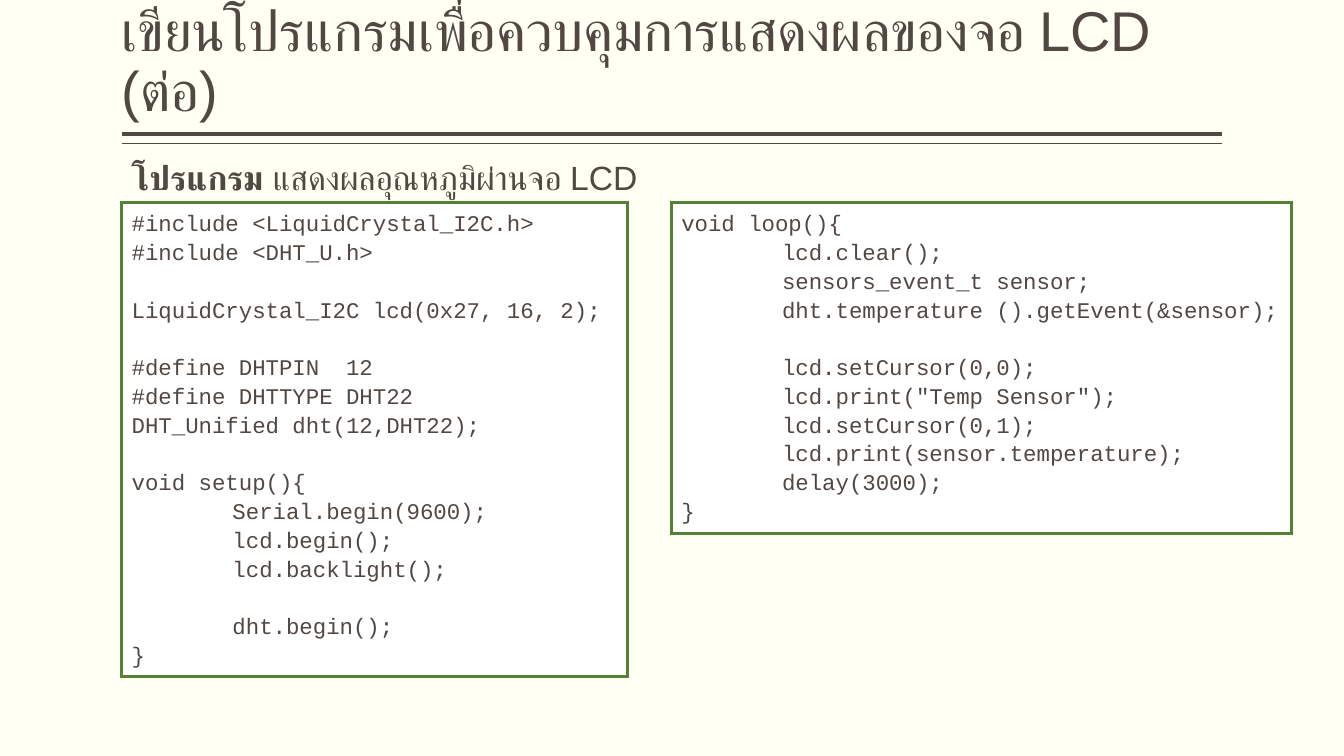
"""Build the slide showing the temperature display program for an LCD."""
import pptx
import pptx.dml.color
import pptx.enum.shapes
import pptx.enum.text
import pptx.oxml
import pptx.util
from pptx.util import Cm

THEME = {
    "background": pptx.dml.color.RGBColor.from_string("FFFFF3"),
    "ink": pptx.dml.color.RGBColor.from_string("514843"),
    "paper": pptx.dml.color.RGBColor.from_string("FFFFFF"),
    "border": pptx.dml.color.RGBColor.from_string("548235"),
    "title": {"name": "Arial", "size": pptx.util.Pt(40)},
    "subtitle": {"name": "Arial", "size": pptx.util.Pt(24)},
    "code": {"name": "Courier New", "size": pptx.util.Pt(16)},
    "empty_line": pptx.util.Pt(20.6),
}

DRAWING = 'xmlns:a="http://schemas.openxmlformats.org/drawingml/2006/main"'
LEFT, WIDTH, INDENT = Cm(3.07), Cm(27.73), Cm(2.54)

SETUP_CODE = """#include <LiquidCrystal_I2C.h>
#include <DHT_U.h>

LiquidCrystal_I2C lcd(0x27, 16, 2);

#define DHTPIN  12
#define DHTTYPE DHT22
DHT_Unified dht(12,DHT22);

void setup(){
\tSerial.begin(9600);
\tlcd.begin();
\tlcd.backlight();

\tdht.begin();
}"""

LOOP_CODE = """void loop(){
\tlcd.clear();
\tsensors_event_t sensor;
\tdht.temperature ().getEvent(&sensor);

\tlcd.setCursor(0,0);
\tlcd.print("Temp Sensor");
\tlcd.setCursor(0,1);
\tlcd.print(sensor.temperature);
\tdelay(3000);
}"""


def write(paragraph, text, style, bold=False):
    """Add one run in a theme style."""
    run = paragraph.add_run()
    run.text = text
    for attribute, value in {**THEME[style], "bold": bold}.items():
        setattr(run.font, attribute, value)
    run.font.color.rgb = THEME["ink"]


deck = pptx.Presentation()
deck.slide_width, deck.slide_height = Cm(33.87), Cm(19.05)
slide = deck.slides.add_slide(deck.slide_layouts[6])
slide.background.fill.solid()
slide.background.fill.fore_color.rgb = THEME["background"]

for height, weight in ((Cm(3.38), 3), (Cm(3.62), 1)):
    rule = slide.shapes.add_connector(
        pptx.enum.shapes.MSO_CONNECTOR.STRAIGHT, LEFT, height, LEFT + WIDTH, height)
    rule.line.color.rgb = THEME["ink"]
    rule.line.width = pptx.util.Pt(weight)
    rule._element.spPr.append(pptx.oxml.parse_xml(f"<a:effectLst {DRAWING}/>"))

heading = slide.shapes.add_textbox(LEFT, Cm(0.2), WIDTH, Cm(3.05)).text_frame
for attribute, value in {
    "word_wrap": True,
    "vertical_anchor": pptx.enum.text.MSO_ANCHOR.BOTTOM,
    "margin_left": 0,
    "margin_right": 0,
}.items():
    setattr(heading, attribute, value)
heading.paragraphs[0].line_spacing = 0.9
write(heading.paragraphs[0], "เขียนโปรแกรมเพื่อควบคุมการแสดงผลของจอ LCD (ต่อ)", "title")

subheading = slide.shapes.add_textbox(LEFT, Cm(3.84), WIDTH, Cm(1.27)).text_frame
subheading.word_wrap = True
write(subheading.paragraphs[0], "โปรแกรม ", "subtitle", bold=True)
write(subheading.paragraphs[0], "แสดงผลอุณหภูมิผ่านจอ LCD", "subtitle")

for code, left, width, height in (
    (SETUP_CODE, LEFT, Cm(12.75), Cm(11.94)),
    (LOOP_CODE, Cm(16.92), Cm(15.62), Cm(8.33)),
):
    panel = slide.shapes.add_shape(
        pptx.enum.shapes.MSO_SHAPE.RECTANGLE, left, Cm(5.11), width, height)
    panel.shadow.inherit = False
    panel.fill.solid()
    panel.fill.fore_color.rgb = THEME["paper"]
    panel.line.color.rgb = THEME["border"]
    panel.line.width = pptx.util.Pt(2.25)
    panel.line._get_or_add_ln().append(
        pptx.oxml.parse_xml(f'<a:miter {DRAWING} lim="800000"/>'))
    listing = panel.text_frame
    listing.word_wrap = False
    listing.vertical_anchor = pptx.enum.text.MSO_ANCHOR.TOP
    statement = listing.paragraphs[0]
    for block_number, block in enumerate(code.split("\n\n")):
        for line_number, line in enumerate(block.split("\n")):
            if block_number or line_number:
                statement = listing.add_paragraph()
            opens_block = block_number and not line_number
            for attribute, value in {
                "alignment": pptx.enum.text.PP_ALIGN.LEFT,
                "line_spacing": 1.07,
                "space_before": THEME["empty_line"] if opens_block else 0,
            }.items():
                setattr(statement, attribute, value)
            statement._p.get_or_add_pPr().append(pptx.oxml.parse_xml(
                f'<a:tabLst {DRAWING}><a:tab pos="{INDENT}" algn="l"/></a:tabLst>'))
            write(statement, line, "code")

deck.save("out.pptx")
